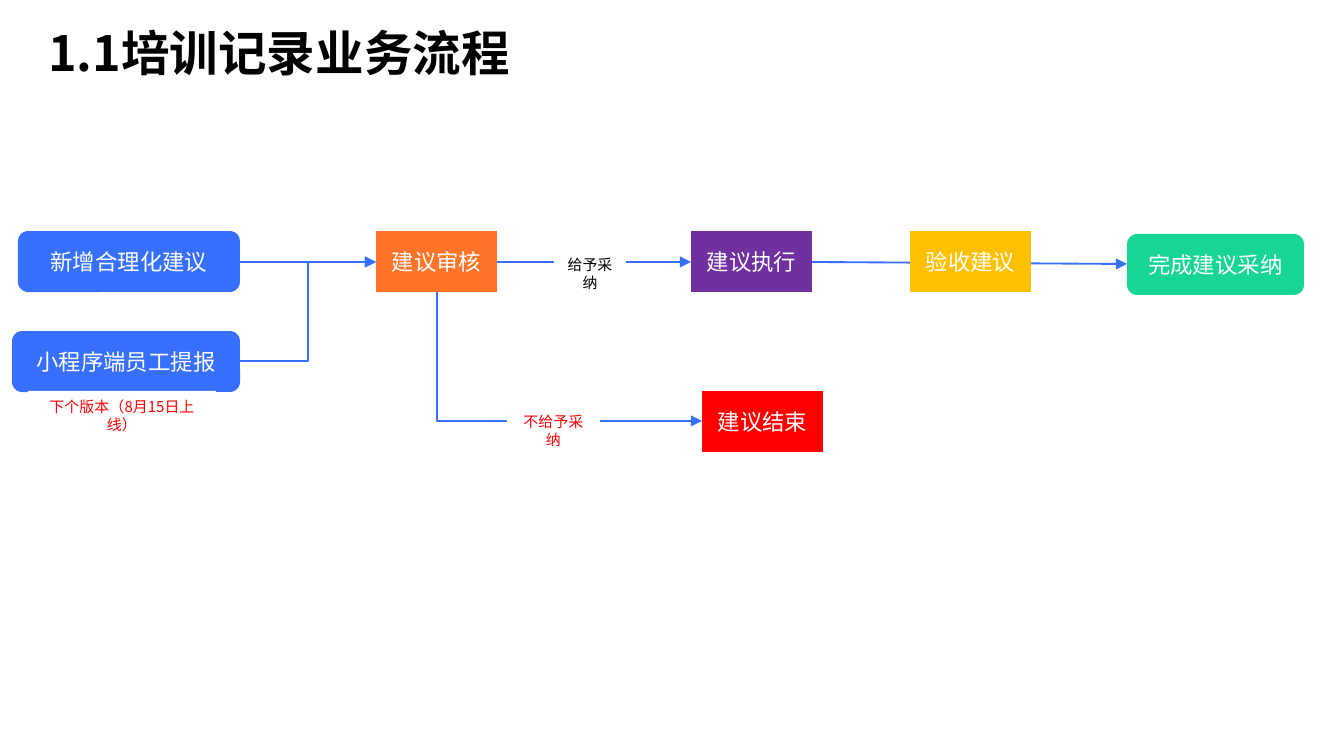
from lxml.etree import SubElement
from pptx import Presentation
from pptx.dml.color import RGBColor
from pptx.enum.shapes import MSO_CONNECTOR as LINK, MSO_SHAPE as SHAPE
from pptx.enum.text import MSO_ANCHOR as ANCHOR, MSO_AUTO_SIZE as FIT, PP_ALIGN as ALIGN
from pptx.oxml.ns import qn
from pptx.util import Pt

EMU_PER_PX = 914400 / 134.4
NOTO, CALIBRI = "Noto Sans CJK SC", "Calibri"
BLUE, WHITE, RED, BLACK = "376FFF", "FFFFFF", "FF0000", "000000"


def px(*lengths):
    """Turn pixel lengths into EMU."""
    return [round(length * EMU_PER_PX) for length in lengths]


def write(box, text, color, font=NOTO, **formats):
    """Put one line of formatted text in a box."""
    box.text_frame.word_wrap = True
    para = box.text_frame.paragraphs[0]
    span = para.add_run()
    span.text = text
    span.font.color.rgb = RGBColor.from_string(color)
    for name, value in {"name": font, **formats}.items():
        setattr(span.font, name, value)
    SubElement(span.font._element, qn("a:ea"), typeface=font)
    return para


deck = Presentation()
deck.slide_width, deck.slide_height = px(1344, 756)
page = deck.slides.add_slide(deck.slide_layouts[6])

title = page.shapes.add_textbox(*px(35, 16, 489, 73))
write(title, "1.1培训记录业务流程", BLACK, size=Pt(26), bold=True)
title.text_frame.auto_size = FIT.SHAPE_TO_FIT_TEXT

# The rejection link is laid out before its quarter turn.
links = [
    (LINK.ELBOW, 240, 262, 376, 262, False),
    (LINK.STRAIGHT, 497, 262, 691, 262, False),
    (LINK.ELBOW, 505, 489, 634, 224, True),
    (LINK.STRAIGHT, 812, 262, 1127, 264, False),
    (LINK.ELBOW, 240, 361, 376, 262, False),
]
for kind, x1, y1, x2, y2, turned in links:
    link = page.shapes.add_connector(kind, *px(x1, y1, x2, y2))
    link.line.color.rgb = RGBColor.from_string(BLUE)
    link.line.width = Pt(1)
    SubElement(link.line._get_or_add_ln(), qn("a:tailEnd"), type="triangle")
    props = link._element.spPr
    SubElement(props, qn("a:effectLst"))
    if turned:
        props.find(qn("a:xfrm")).set("rot", "5400000")
        props.find(qn("a:prstGeom")).set("prst", "bentConnector2")

ROUND, STEP = SHAPE.FLOWCHART_ALTERNATE_PROCESS, SHAPE.FLOWCHART_PROCESS
steps = [
    (ROUND, "新增合理化建议", 18, 231, 222, BLUE, NOTO),
    (STEP, "建议审核", 376, 231, 121, "FF7429", CALIBRI),
    (STEP, "建议执行", 691, 231, 121, "7030A0", CALIBRI),
    (STEP, "验收建议", 910, 231, 121, "FFC000", CALIBRI),
    (ROUND, "完成建议采纳", 1127, 234, 177, "17D594", NOTO),
    (STEP, "建议结束", 702, 391, 121, RED, CALIBRI),
    (ROUND, "小程序端员工提报", 12, 331, 228, BLUE, NOTO),
]
labels = [
    ("给予采纳", 554, 249, 72, 32, BLACK),
    ("不给予采纳", 507, 406, 93, 31, RED),
    ("下个版本（8月15日上线）", 28, 391, 188, 31, RED),
]
boxes = [(kind, text, (left, top, width, 61), fill, WHITE, font, 12, ANCHOR.MIDDLE)
         for kind, text, left, top, width, fill, font in steps]
boxes += [(SHAPE.RECTANGLE, text, place, WHITE, color, NOTO, 8, ANCHOR.TOP)
          for text, *place, color in labels]

for kind, text, place, fill, color, font, size, anchor in boxes:
    box = page.shapes.add_shape(kind, *px(*place))
    box.shadow.inherit = False
    box.fill.solid()
    box.fill.fore_color.rgb = RGBColor.from_string(fill)
    box.line.fill.background()
    box.text_frame.vertical_anchor = anchor
    write(box, text, color, font, size=Pt(size)).alignment = ALIGN.CENTER

deck.save("out.pptx")
